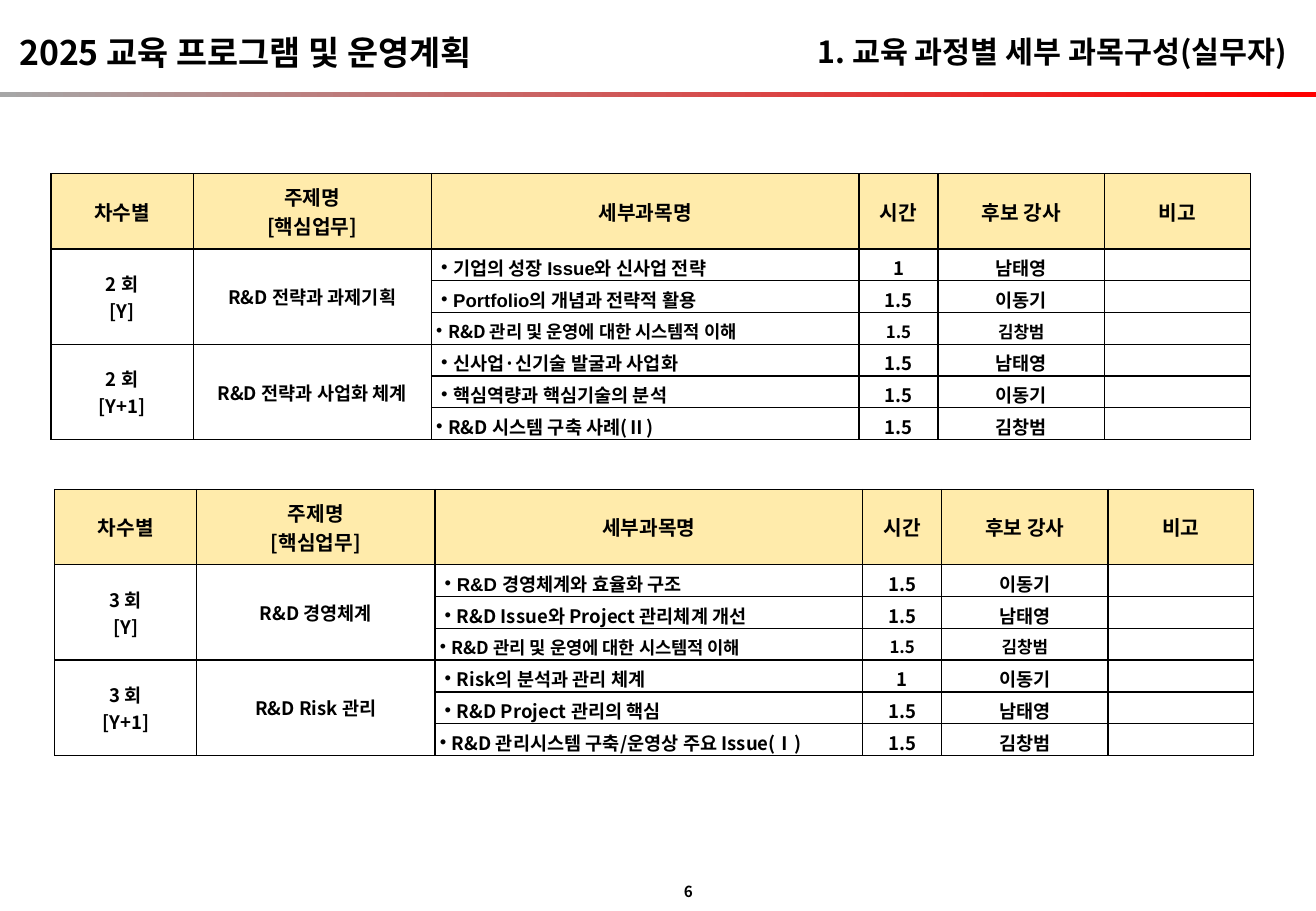
"""Build the slide listing the detailed courses of the 2025 training programme."""
from lxml import etree
from pptx import Presentation, util as u
from pptx.dml.color import RGBColor
from pptx.enum import shapes, text
from pptx.oxml import ns

HEADING = "2025 교육 프로그램 및 운영계획"
TITLE = "1. 교육 과정별 세부 과목구성(실무자)"
PAGE_NUMBER = "6"
HEADERS = ["차수별", "주제명\n[핵심업무]", "세부과목명", "시간", "후보 강사", "비고"]
SCHEDULES = [
    {"left": 0.42, "top": 1.43, "arial_rows": (1, 2), "groups": [
        ("2 회\n[Y]", "R&D 전략과 과제기획", [
            ("기업의 성장 Issue와 신사업 전략", "1", "남태영"),
            ("Portfolio의 개념과 전략적 활용", "1.5", "이동기"),
            ("R&D 관리 및 운영에 대한 시스템적 이해", "1.5", "김창범")]),
        ("2 회\n[Y+1]", "R&D 전략과 사업화 체계", [
            ("신사업·신기술 발굴과 사업화", "1.5", "남태영"),
            ("핵심역량과 핵심기술의 분석", "1.5", "이동기"),
            ("R&D 시스템 구축 사례(Ⅱ)", "1.5", "김창범")])]},
    {"left": 0.45, "top": 4.03, "arial_rows": (1,), "groups": [
        ("3 회\n[Y]", "R&D 경영체계", [
            ("R&D 경영체계와 효율화 구조", "1.5", "이동기"),
            ("R&D Issue와 Project 관리체계 개선", "1.5", "남태영"),
            ("R&D 관리 및 운영에 대한 시스템적 이해", "1.5", "김창범")]),
        ("3 회\n[Y+1]", "R&D Risk 관리", [
            ("Risk의 분석과 관리 체계", "1", "이동기"),
            ("R&D Project 관리의 핵심", "1.5", "남태영"),
            ("R&D 관리시스템 구축/운영상 주요 Issue(Ⅰ)", "1.5", "김창범")])]},
]
COLORS = {"ink": "000000", "header": "FFEBAB", "grey": "A6A6A6", "red": "FF0000"}
FONT = "Noto Sans CJK KR"
WIDTH, HEIGHT = 10.83, 7.5
COLUMNS = [1.17, 1.96, 3.52, 0.65, 1.37, 1.2]
HEADER_HEIGHT, TABLE_HEIGHT = 0.62, 2.19
GROUP_SIZE, BODY_ROWS = 3, 6
ROW_HEIGHT = (TABLE_HEIGHT - HEADER_HEIGHT) / BODY_ROWS
ALIGN, ANCHOR = text.PP_ALIGN, text.MSO_ANCHOR


def write(frame, content, size=11, align=ALIGN.CENTER, latin=FONT, bullet=False):
    """Fill a text frame with one formatted paragraph for each line."""
    for index, line in enumerate(content.split("\n")):
        paragraph = frame.add_paragraph() if index else frame.paragraphs[0]
        paragraph.alignment = align
        if bullet:
            properties = paragraph._p.get_or_add_pPr()
            properties.set("marL", str(u.Inches(0.1)))
            properties.set("indent", str(u.Inches(-0.1)))
            etree.SubElement(properties, ns.qn("a:buFont")).set("typeface", "Arial")
            etree.SubElement(properties, ns.qn("a:buChar")).set("char", "•")
        if not line:
            ending = etree.SubElement(paragraph._p, ns.qn("a:endParaRPr"))
            ending.set("sz", str(size * 100))
            continue
        run = paragraph.add_run()
        run.text = line
        font = run.font
        font.size, font.bold, font.name = u.Pt(size), True, latin
        font.color.rgb = RGBColor.from_string(COLORS["ink"])
        properties = run._r.get_or_add_rPr()
        properties.set("kern", "0")
        etree.SubElement(properties, ns.qn("a:ea")).set("typeface", FONT)


def add_label(slide, content, box, size, align, anchor=ANCHOR.MIDDLE):
    """Place a one-line text box."""
    frame = slide.shapes.add_textbox(*map(u.Inches, box)).text_frame
    frame.word_wrap = False
    frame.vertical_anchor = anchor
    write(frame, content, size=size, align=align)


def add_rule(slide):
    """Draw the gradient rule under the headings."""
    rule = slide.shapes.add_shape(shapes.MSO_SHAPE.RECTANGLE, 0, u.Inches(0.76),
                                  u.Inches(WIDTH), u.Inches(0.04))
    rule.shadow.inherit = False
    rule.line.fill.background()
    rule.fill.gradient()
    rule.fill.gradient_angle = 0
    for stop, name, position in zip(rule.fill.gradient_stops, ("grey", "red"), (0, 1)):
        stop.color.rgb = RGBColor.from_string(COLORS[name])
        stop.position = position


def set_borders(cell, row, column):
    """Draw cell edges, heavier between the detail columns and rows."""
    properties = cell._tc.get_or_add_tcPr()
    edges = [("L", column, True), ("R", column + 1, True),
             ("T", row, False), ("B", row + 1, False)]
    for side, edge, vertical in edges:
        heavy = 3 <= edge <= 5 if vertical else edge >= 2
        line = etree.SubElement(properties, ns.qn(f"a:ln{side}"))
        line.set("w", str(u.Pt(1 if heavy else 0.75)))
        fill = etree.SubElement(line, ns.qn("a:solidFill"))
        etree.SubElement(fill, ns.qn("a:srgbClr")).set("val", COLORS["ink"])


def format_for(row, column, arial_rows):
    """Return the text format of a table cell."""
    if row == 0:
        return {"size": 12}
    small = row == GROUP_SIZE
    if column == 2:
        return {"size": 10.5 if small else 11, "align": ALIGN.LEFT, "bullet": True,
                "latin": "Arial" if row in arial_rows else FONT}
    return {"size": 10 if small and column > 2 else 11}


def add_schedule(slide, left, top, arial_rows, groups):
    """Place one course table."""
    rows = [HEADERS]
    for session, topic, courses in groups:
        for index, course in enumerate(courses):
            rows.append([*(("", "") if index else (session, topic)), *course, ""])
    table = slide.shapes.add_table(
        len(rows), len(COLUMNS), u.Inches(left), u.Inches(top),
        u.Inches(sum(COLUMNS)), u.Inches(TABLE_HEIGHT)).table
    table.first_row = table.horz_banding = False
    for column, width in enumerate(COLUMNS):
        table.columns[column].width = u.Inches(width)
    for row, values in enumerate(rows):
        table.rows[row].height = u.Inches(ROW_HEIGHT if row else HEADER_HEIGHT)
        for column, value in enumerate(values):
            cell = table.cell(row, column)
            wide = row and column >= 2 and not (column == 2 and row % GROUP_SIZE == 0)
            cell.margin_left = cell.margin_right = u.Inches(0.08 if wide else 0.04)
            cell.margin_top = u.Inches(0.04)
            cell.margin_bottom = u.Inches(0 if row and (column >= 2 or not value) else 0.04)
            cell.vertical_anchor = ANCHOR.MIDDLE
            set_borders(cell, row, column)
            if row:
                cell.fill.background()
            else:
                cell.fill.solid()
                cell.fill.fore_color.rgb = RGBColor.from_string(COLORS["header"])
            write(cell.text_frame, value, **format_for(row, column, arial_rows))
    for row in range(1, len(rows), GROUP_SIZE):
        for column in range(2):
            table.cell(row, column).merge(table.cell(row + GROUP_SIZE - 1, column))


def main():
    """Assemble and save the presentation."""
    presentation = Presentation()
    presentation.slide_width, presentation.slide_height = u.Inches(WIDTH), u.Inches(HEIGHT)
    slide = presentation.slides.add_slide(presentation.slide_layouts[6])
    add_rule(slide)
    add_label(slide, TITLE, (6.2, 0.22, 4.49, 0.4), 18, ALIGN.RIGHT)
    add_label(slide, PAGE_NUMBER, (5.52, 7.21, 0.28, 0.25), 9, ALIGN.RIGHT)
    add_label(slide, HEADING, (0.06, 0.21, 4.5, 0.44), 20, ALIGN.LEFT, ANCHOR.TOP)
    for schedule in SCHEDULES:
        add_schedule(slide, **schedule)
    presentation.save("out.pptx")


if __name__ == "__main__":
    main()
